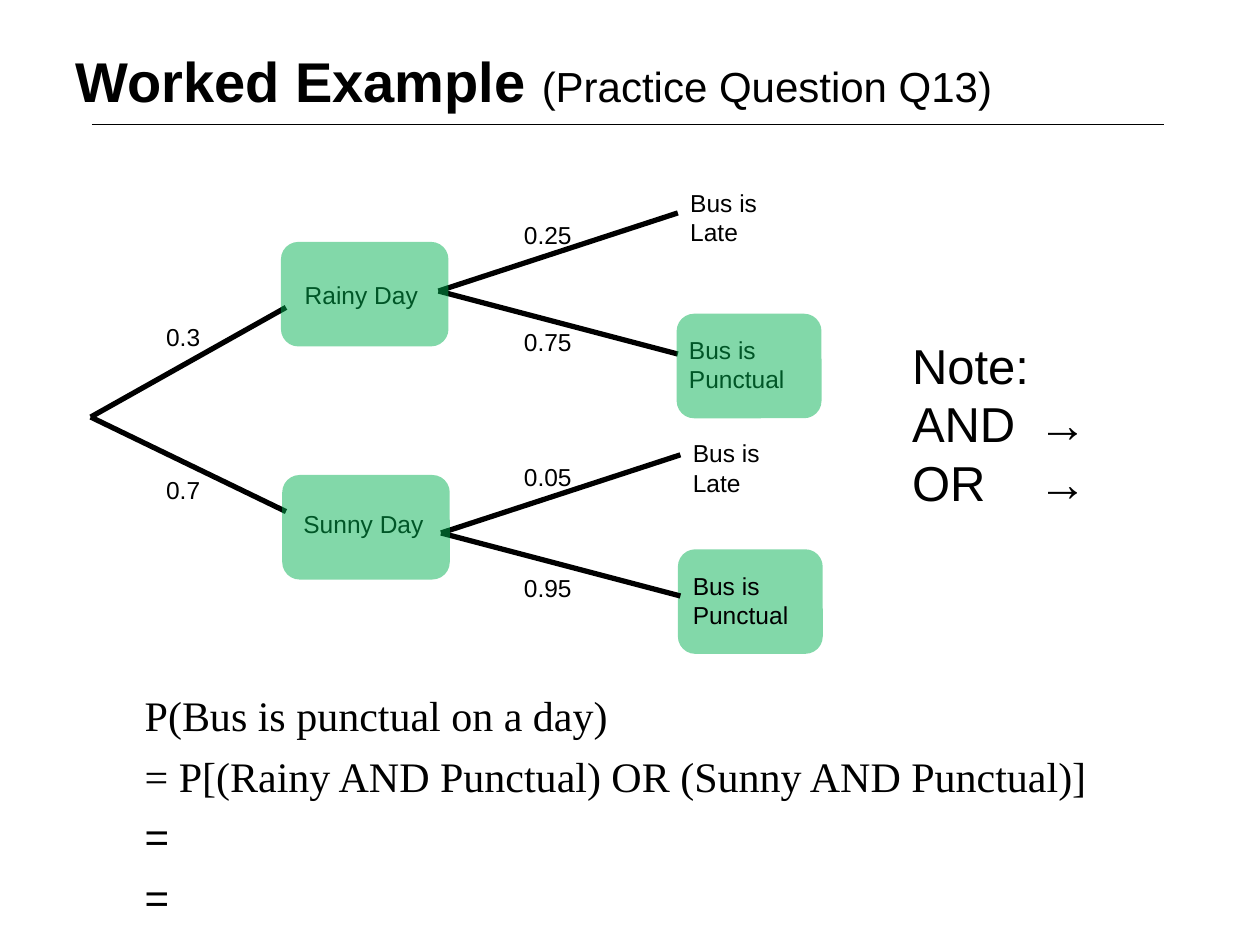
from lxml import etree
from pptx import Presentation
from pptx.dml.color import RGBColor
from pptx.enum.shapes import MSO_CONNECTOR, MSO_SHAPE
from pptx.enum.text import MSO_ANCHOR, MSO_AUTO_SIZE
from pptx.oxml.ns import qn
from pptx.util import Emu, Pt

ROUNDED = MSO_SHAPE.ROUNDED_RECTANGLE
STRAIGHT = MSO_CONNECTOR.STRAIGHT
TOP, MIDDLE = MSO_ANCHOR.TOP, MSO_ANCHOR.MIDDLE
FIT_SHAPE = MSO_AUTO_SIZE.SHAPE_TO_FIT_TEXT
BLACK = RGBColor(0x00, 0x00, 0x00)
GREEN = RGBColor(0x00, 0xB0, 0x50)
SANS, SERIF = "Arial", "Times New Roman"
EMU_PER_PX = 9144
LABEL_SIZE = (83, 36)


def px(length):
    return Emu(length * EMU_PER_PX)


def add_run(paragraph, text, size=14, font=SANS, bold=False, color=BLACK):
    run = paragraph.add_run()
    run.text = text
    run.font.size = Pt(size)
    run.font.name = font
    run.font.bold = bold
    run.font.color.rgb = color


class SlideBuilder:
    """Draws styled elements on the current slide."""

    def __init__(self, slide):
        self.slide = slide

    def text(self, left, top, width, height, paragraphs, anchor=TOP, space=0, grow=False):
        box = self.slide.shapes.add_textbox(px(left), px(top), px(width), px(height))
        frame = box.text_frame
        frame.word_wrap = True
        frame.vertical_anchor = anchor
        if grow:
            frame.auto_size = FIT_SHAPE
        for index, runs in enumerate(paragraphs):
            paragraph = frame.add_paragraph() if index else frame.paragraphs[0]
            if index and space:
                paragraph.space_before = Pt(space)
            for text, style in runs:
                add_run(paragraph, text, **style)

    def label(self, left, top, width, height, text):
        self.text(left, top, width, height, [[(text, {})]])

    def line(self, start, end, weight=3):
        points = [px(value) for value in (*start, *end)]
        connector = self.slide.shapes.add_connector(STRAIGHT, *points)
        connector.line.color.rgb = BLACK
        connector.line.width = Pt(weight)
        etree.SubElement(connector._element.spPr, qn("a:effectLst"))

    def highlight(self, left, top, width, height=83):
        shape = self.slide.shapes.add_shape(ROUNDED, px(left), px(top), px(width), px(height))
        shape.shadow.inherit = False
        shape.fill.solid()
        shape.fill.fore_color.rgb = GREEN
        shape.line.fill.background()
        color = shape._element.spPr.find(qn("a:solidFill"))[0]
        etree.SubElement(color, qn("a:alpha"), val="49000")


def main():
    presentation = Presentation()
    presentation.slide_width, presentation.slide_height = px(1000), px(750)
    slide = presentation.slides.add_slide(presentation.slide_layouts[6])
    builder = SlideBuilder(slide)

    builder.line((73, 99), (924, 99), weight=0.25)
    builder.highlight(538, 436, 115)

    root, rainy, sunny = (72, 331), (348, 231), (350, 423)
    branches = [
        (root, (227, 244), "0.3", (122, 251), "Rainy Day", (232, 217, 124, 44)),
        (root, (227, 406), "0.7", (122, 372), "Sunny Day", (231, 399, 133, 40)),
        (rainy, (538, 169), "0.25", (406, 170), "Bus is Late", (538, 144, 97, 75)),
        (rainy, (538, 281), "0.75", (406, 255), "Bus is Punctual", (537, 261, 137, 58)),
        (sunny, (540, 361), "0.05", (406, 362), "Bus is Late", (540, 343, 112, 95)),
        (sunny, (540, 473), "0.95", (406, 450), "Bus is Punctual", (540, 448, 150, 62)),
    ]
    for start, end, probability, position, outcome, box in branches:
        builder.line(start, end)
        builder.label(*position, *LABEL_SIZE, probability)
        builder.label(*box, outcome)

    serif, sans = {"size": 24, "font": SERIF}, {"size": 24}
    working = [
        [("P(Bus is punctual on a day)", serif)],
        [("= P[(Rainy AND Punctual) OR (Sunny AND Punctual)]", serif)],
        [("=", sans)],
        [("=", sans)],
    ]
    builder.text(105, 542, 845, 194, working, space=6)

    for box in ((223, 192, 133), (537, 249, 115), (224, 377, 133)):
        builder.highlight(*box)

    title = [("Worked Example ", {"size": 32, "bold": True}), ("(Practice Question Q13)", sans)]
    builder.text(50, 1, 900, 125, [title], anchor=MIDDLE)
    note = [[(text, {"size": 28})] for text in ("Note:", "AND\t→", "OR\t→")]
    builder.text(714, 261, 236, 151, note, grow=True)

    presentation.save("out.pptx")


if __name__ == "__main__":
    main()
